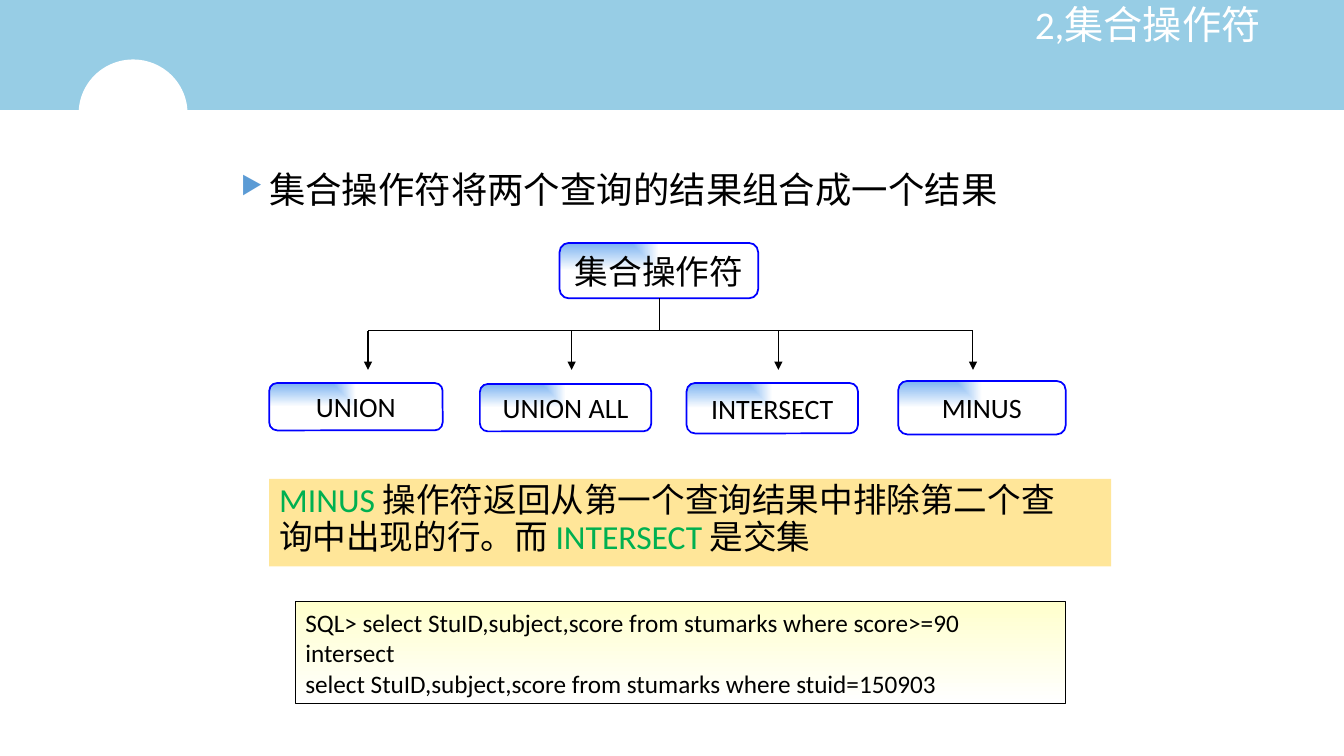
import pptx
import pptx.dml.color
import pptx.enum.dml
import pptx.enum.shapes
import pptx.enum.text
import pptx.oxml.ns
import pptx.util
import lxml.etree

Inches = pptx.util.Inches
Pt = pptx.util.Pt
qn = pptx.oxml.ns.qn
SHAPE = pptx.enum.shapes.MSO_SHAPE
ALIGN = pptx.enum.text.PP_ALIGN
ANCHOR = pptx.enum.text.MSO_ANCHOR

THEME = {
    "font": "Calibri",
    "colours": {
        name: pptx.dml.color.RGBColor.from_string(value)
        for name, value in {
            "white": "FFFFFF", "black": "000000", "banner": "97CDE5",
            "bullet": "5B9BD5", "node": "7BB3F1", "outline": "0000FF",
            "note": "FFE699", "keyword": "00B050", "code": "FFFFCC",
        }.items()
    },
    "sizes": {"title": 28, "lead": 26, "root": 24, "leaf": 20, "note": 24, "code": 18},
}
COLOURS = THEME["colours"]


def add_box(shapes, kind, place, fill, line=None, width=0, fade=False):
    box = shapes.add_shape(kind, *[Inches(length) for length in place])
    box.shadow.inherit = False
    if fade:
        box.fill.gradient()
        for stop, colour in zip(box.fill.gradient_stops, (fill, "white")):
            stop.color.rgb = COLOURS[colour]
        box.fill.gradient_stops[0].position = 0
        box.fill.gradient_stops[1].position = 1
        box.fill.gradient_angle = 270
    else:
        box.fill.solid()
        box.fill.fore_color.rgb = COLOURS[fill]
    if line:
        box.line.color.rgb = COLOURS[line]
        box.line.width = Pt(width)
    else:
        box.line.fill.background()
    return box


def style_text(box, size, colour="black", align=ALIGN.LEFT):
    for para in box.text_frame.paragraphs:
        para.alignment = align
        for span in para.runs:
            span.font.name = THEME["font"]
            span.font.size = Pt(THEME["sizes"][size])
            span.font.color.rgb = COLOURS[colour]


deck = pptx.Presentation()
deck.slide_width = Inches(13.33)
deck.slide_height = Inches(7.5)
page = deck.slides.add_slide(deck.slide_layouts[5])

add_box(page.shapes, SHAPE.RECTANGLE, (0, 0, 13.33, 1.09), "banner")
add_box(page.shapes, SHAPE.OVAL, (0.78, 0.59, 1.08, 1.07), "white")

title = page.shapes.title
title.left, title.top = Inches(7.85), Inches(0.01)
title.width, title.height = Inches(4.75), Inches(1.11)
title.text_frame.text = "2,集合操作符"
title.text_frame.vertical_anchor = ANCHOR.TOP
title.text_frame.paragraphs[0].line_spacing = 0.9
style_text(title, "title", "white", ALIGN.RIGHT)
page.shapes._spTree.append(title._element)

lead = page.shapes.add_textbox(Inches(2.17), Inches(1.61), Inches(9), Inches(0.63))
lead.text_frame.word_wrap = True
lead.text_frame.text = "集合操作符将两个查询的结果组合成一个结果"
style_text(lead, "lead")
lead_para = lead.text_frame.paragraphs[0]
lead_para.space_before = Pt(4)
marks = lead_para._p.get_or_add_pPr()
marks.set("marL", str(Inches(0.4)))
marks.set("indent", str(Inches(-0.28)))
bullet_colour = lxml.etree.SubElement(marks, qn("a:buClr"))
lxml.etree.SubElement(bullet_colour, qn("a:srgbClr"), val=str(COLOURS["bullet"]))
lxml.etree.SubElement(marks, qn("a:buSzPct"), val="68000")
lxml.etree.SubElement(marks, qn("a:buChar"), char="▶")

tree = page.shapes.add_group_shape()
nodes = [
    ("集合操作符", "root", (5.55, 2.41, 1.97, 0.55)),
    ("UNION", "leaf", (2.67, 3.8, 1.72, 0.47)),
    ("UNION ALL", "leaf", (4.76, 3.81, 1.7, 0.47)),
    ("INTERSECT", "leaf", (6.81, 3.8, 1.7, 0.5)),
    ("MINUS", "leaf", (8.91, 3.78, 1.66, 0.53)),
]
for label, size, place in nodes:
    node = add_box(tree.shapes, SHAPE.ROUNDED_RECTANGLE, place, "node", "outline", 1.25, fade=True)
    node.adjustments[0] = 0.167
    gradient = node._element.spPr.find(qn("a:gradFill"))
    gradient.remove(gradient.find(qn("a:lin")))
    corner = lxml.etree.SubElement(gradient, qn("a:path"), path="rect")
    lxml.etree.SubElement(corner, qn("a:fillToRect"), r="100000", b="100000")
    node.text_frame.word_wrap = False
    node.text_frame.vertical_anchor = ANCHOR.MIDDLE
    node.text_frame.text = label
    style_text(node, size, align=ALIGN.CENTER)

rail = 3.28
branches = [3.65, 5.67, 7.72, 9.65]
links = [(6.54, 2.96, 6.54, rail, False), (branches[0], rail, branches[-1], rail, False)]
links += [(branch, rail, branch, 3.67, True) for branch in branches]
for *ends, arrow in links:
    link = tree.shapes.add_connector(
        pptx.enum.shapes.MSO_CONNECTOR.STRAIGHT, *[Inches(end) for end in ends])
    link.line.color.rgb = COLOURS["black"]
    link.line.width = Pt(0.75)
    if arrow:
        lxml.etree.SubElement(link.line._get_or_add_ln(), qn("a:tailEnd"), type="triangle")
    lxml.etree.SubElement(link._element.spPr, qn("a:effectLst"))

note = add_box(page.shapes, SHAPE.RECTANGLE, (2.67, 4.75, 8.35, 0.87), "note")
note.text_frame.vertical_anchor = ANCHOR.TOP
note.text_frame.text = "\n".join(["", ""])
note_lines = [
    [("MINUS ", "keyword"), ("操作符返回从第一个查询结果中排除第二个查", "black")],
    [("询中出现的行。而 ", "black"), ("INTERSECT ", "keyword"), ("是交集", "black")],
]
for para, pieces in zip(note.text_frame.paragraphs, note_lines):
    for words, colour in pieces:
        para.add_run().text = words
    para.line_spacing = 0.9
    para.space_before = Pt(0)
style_text(note, "note")
for para, pieces in zip(note.text_frame.paragraphs, note_lines):
    for span, (words, colour) in zip(para.runs, pieces):
        span.font.color.rgb = COLOURS[colour]

code = add_box(page.shapes, SHAPE.RECTANGLE, (2.93, 5.97, 7.64, 1.01), "code", "black", 0.75, fade=True)
code.text_frame.vertical_anchor = ANCHOR.MIDDLE
code.text_frame.text = "\n".join([
    "SQL> select StuID,subject,score from stumarks where score>=90",
    "intersect",
    "select StuID,subject,score from stumarks where stuid=150903",
])
style_text(code, "code")

deck.save("out.pptx")
